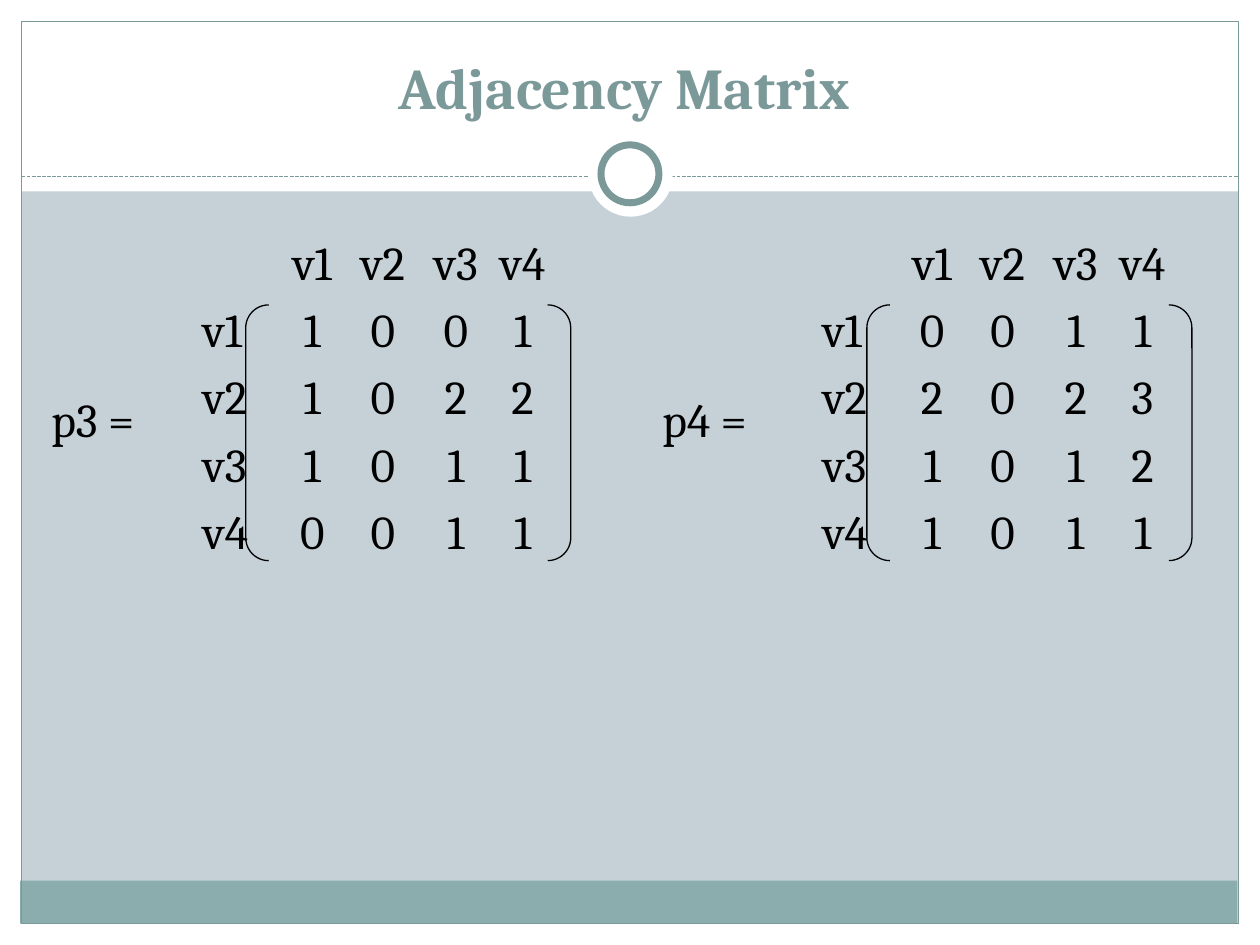
from pptx import Presentation
from pptx.dml.color import RGBColor
from pptx.enum.dml import MSO_LINE
from pptx.enum.shapes import MSO_CONNECTOR, MSO_SHAPE as SHAPE
from pptx.enum.text import MSO_ANCHOR as ANCHOR, PP_ALIGN as ALIGN
from pptx.oxml.ns import qn
from pptx.util import Inches, Pt
from lxml.etree import SubElement

FONT = "Cambria"
COLORS = {"background": "C5D1D7", "paper": "FFFFFF", "footer": "8CADAE",
          "accent": "7C999A", "ink": "000000"}

TITLE = "Adjacency Matrix"
VERTICES = ["v1", "v2", "v3", "v4"]
# label, label left, row names left, bracket left, entries
MATRICES = [
    ("p3 =", 0.31, 1.51, 1.95,
     [[1, 0, 0, 1], [1, 0, 2, 2], [1, 0, 1, 1], [0, 0, 1, 1]]),
    ("p4 =", 5.16, 6.43, 6.88,
     [[0, 0, 1, 1], [2, 0, 2, 3], [1, 0, 1, 2], [1, 0, 1, 1]]),
]
COLUMN_CENTERS = [0.87, 1.43, 2.01, 2.54]
FRAME_BANDS = [(0, 7.33, 10, 0.17), (0, 0, 10, 1.52),
               (0, 0, 0.17, 7.5), (9.83, 0, 0.17, 7.5)]


def rgb(name):
    return RGBColor.from_string(COLORS[name])


def add_outline(shapes, kind, box, fill=None, line=None, width=0.75):
    shape = shapes.add_shape(kind, *map(Inches, box))
    shape.shadow.inherit = False
    if fill:
        shape.fill.solid()
        shape.fill.fore_color.rgb = rgb(fill)
    else:
        shape.fill.background()
    if line:
        shape.line.color.rgb = rgb(line)
        shape.line.width = Pt(width)
    else:
        shape.line.fill.background()
    return shape


def add_text(shapes, text, box, size=27, color="ink", bold=False,
             align=ALIGN.LEFT, anchor=ANCHOR.TOP, gap=6, tabs=()):
    frame = shapes.add_textbox(*map(Inches, box)).text_frame
    frame.word_wrap = True
    frame.vertical_anchor = anchor
    for i, line in enumerate(text.split("\n")):
        paragraph = frame.paragraphs[0] if i == 0 else frame.add_paragraph()
        paragraph.text = line
        paragraph.alignment = align
        if i:
            paragraph.space_before = Pt(gap)
        if tabs:
            stops = SubElement(paragraph._p.get_or_add_pPr(), qn("a:tabLst"))
            for stop in tabs:
                SubElement(stops, qn("a:tab"), pos=str(Inches(stop)), algn="ctr")
        font = paragraph.font
        font.name, font.size, font.bold = FONT, Pt(size), bold
        font.color.rgb = rgb(color)


def add_frame(shapes):
    for band in FRAME_BANDS:
        add_outline(shapes, SHAPE.RECTANGLE, band, fill="paper")
    add_outline(shapes, SHAPE.RECTANGLE, (0.16, 6.99, 9.66, 0.34), fill="footer")
    add_outline(shapes, SHAPE.RECTANGLE, (0.17, 0.17, 9.66, 7.16), line="accent")

    # Dashed rule under the title, broken by the ring
    rule = shapes.add_connector(MSO_CONNECTOR.STRAIGHT, Inches(0.17), Inches(1.4),
                                Inches(9.83), Inches(1.4))
    rule.line.color.rgb = rgb("accent")
    rule.line.width = Pt(0.75)
    rule.line.dash_style = MSO_LINE.SQUARE_DOT
    SubElement(rule._element.spPr, qn("a:effectLst"))
    add_outline(shapes, SHAPE.OVAL, (4.67, 1.05, 0.67, 0.67), fill="paper")
    add_outline(shapes, SHAPE.OVAL, (4.77, 1.15, 0.46, 0.46), fill="paper",
                line="accent", width=4)


def add_matrix(shapes, label, label_left, rows_left, bracket_left, entries):
    lines = ["\t".join(["", *VERTICES])]
    for vertex, row in zip(VERTICES, entries):
        lines.append("\t".join([vertex, *map(str, row)]))
    add_text(shapes, "\n".join(lines), (rows_left, 1.8, 3.2, 3.05),
             tabs=COLUMN_CENTERS)
    brackets = add_outline(shapes, SHAPE.DOUBLE_BRACKET,
                           (bracket_left, 2.42, 2.58, 2.03), line="ink")
    brackets.adjustments[0] = 0.09
    add_text(shapes, label, (label_left, 3.05, 1.2, 0.6))


def main():
    deck = Presentation()
    deck.slide_width, deck.slide_height = Inches(10), Inches(7.5)
    slide = deck.slides.add_slide(deck.slide_layouts[6])
    slide.background.fill.solid()
    slide.background.fill.fore_color.rgb = rgb("background")

    add_frame(slide.shapes)
    add_text(slide.shapes, TITLE, (1.87, 0.31, 6.17, 0.7), size=33, color="accent",
             bold=True, align=ALIGN.CENTER, anchor=ANCHOR.BOTTOM)
    for matrix in MATRICES:
        add_matrix(slide.shapes, *matrix)
    deck.save("out.pptx")


if __name__ == "__main__":
    main()
